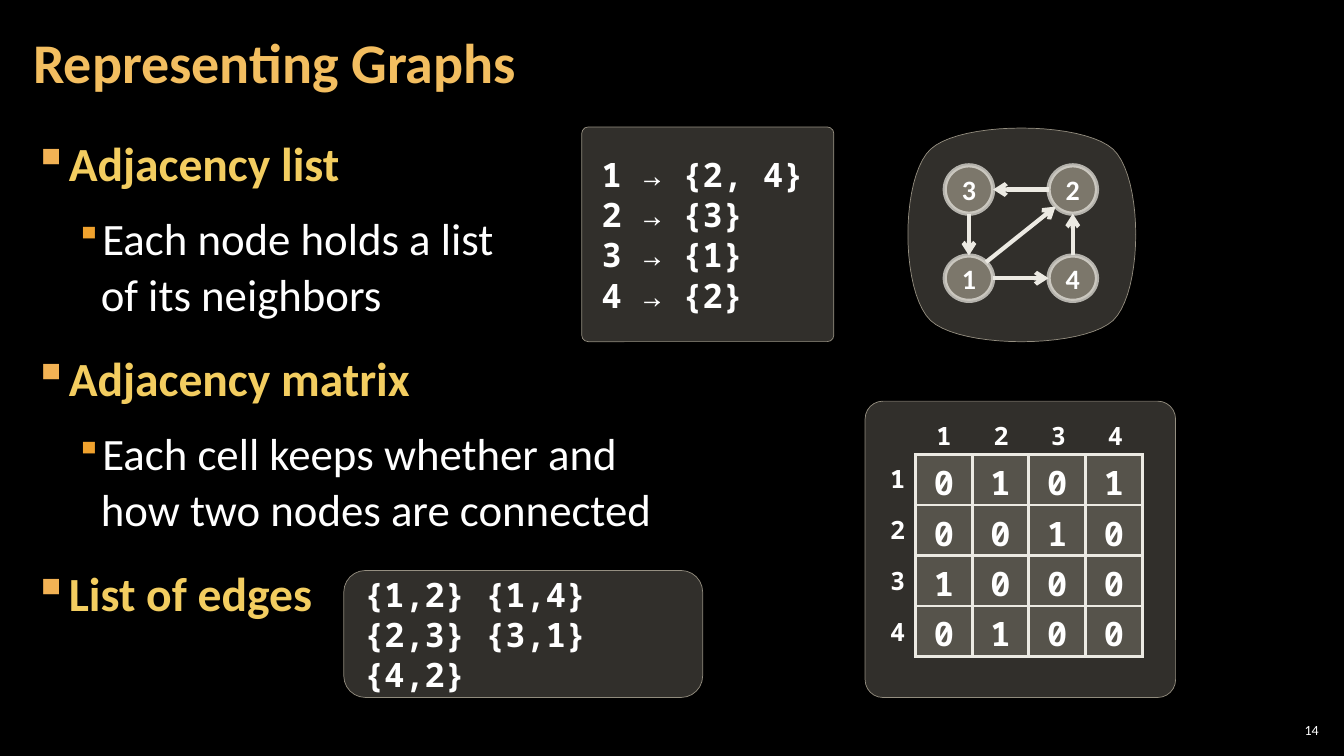
import pptx
import pptx.util
import pptx.dml.color
import pptx.enum.shapes
import pptx.enum.text
import pptx.oxml
import pptx.oxml.ns
from lxml import etree

Inches, Pt = pptx.util.Inches, pptx.util.Pt
MSO = pptx.enum.shapes.MSO_SHAPE
ALIGN = pptx.enum.text.PP_ALIGN
ANCHOR = pptx.enum.text.MSO_ANCHOR
qn = pptx.oxml.ns.qn

COLORS = {"bg": "000000", "text": "FFFFFF", "title": "F3BE60", "topic": "F3CD60",
          "bullet": "F2B254", "sub_bullet": "F0A22E", "panel": "C7BFAC", "line": "ECEAE3"}
FONTS = {
    "title": {"name": "Calibri", "size": Pt(40), "bold": True},
    "topic": {"name": "Calibri", "size": Pt(34), "bold": True},
    "detail": {"name": "Calibri", "size": Pt(32), "bold": False},
    "number": {"name": "Calibri", "size": Pt(10), "bold": False},
    "node": {"name": "Calibri", "size": Pt(20), "bold": True},
    "code": {"name": "Noto Sans Mono", "size": Pt(24), "bold": True},
    "label": {"name": "Noto Sans Mono", "size": Pt(18), "bold": True},
}
OUTLINE = [("Adjacency list", 0), ("Each node holds a list\vof its neighbors", 1),
           ("Adjacency matrix", 0), ("Each cell keeps whether and\vhow two nodes are connected", 1),
           ("List of edges", 0)]
EDGES = [(1, 2), (1, 4), (2, 3), (3, 1), (4, 2)]


def rgb(key):
    return pptx.dml.color.RGBColor.from_string(COLORS[key])


def set_opacity(parent, percent):
    clr = next(parent.iter(qn("a:srgbClr")))
    etree.SubElement(clr, qn("a:alpha")).set("val", str(percent * 1000))


def write(p, text, font, color="text", align=ALIGN.LEFT):
    p.text = text
    p.alignment = align
    for r in p.runs:
        for key, value in FONTS[font].items():
            setattr(r.font, key, value)
        r.font.color.rgb = rgb(color)


def set_frame(tf, anchor, margin_x, margin_y, wrap=True):
    values = {"word_wrap": wrap, "vertical_anchor": anchor,
              "margin_left": Inches(margin_x), "margin_right": Inches(margin_x),
              "margin_top": Inches(margin_y), "margin_bottom": Inches(margin_y)}
    for key, value in values.items():
        setattr(tf, key, value)


def add_text(s, box, anchor, margin_x, margin_y, wrap=True):
    tf = s.shapes.add_textbox(*map(Inches, box)).text_frame
    set_frame(tf, anchor, margin_x, margin_y, wrap)
    return tf


def style_panel(sp):
    sp.shadow.inherit = False
    sp.fill.solid()
    sp.fill.fore_color.rgb = rgb("panel")
    set_opacity(sp.fill._xPr.find(qn("a:solidFill")), 25)
    sp.line.color.rgb = rgb("panel")
    sp.line.width = Pt(0.5)
    set_opacity(sp.line._ln, 70)


def add_panel(s, box, radius):
    sp = s.shapes.add_shape(MSO.ROUNDED_RECTANGLE, *map(Inches, box))
    sp.adjustments[0] = radius
    style_panel(sp)
    return sp


def add_title(s, box):
    write(add_text(s, box, ANCHOR.MIDDLE, 0.12, 0.04).paragraphs[0],
          "Representing Graphs", "title", "title")
    s.shapes[-1].text_frame.paragraphs[0].line_spacing = 0.9


def add_outline(s, box):
    tf = add_text(s, box, ANCHOR.TOP, 0.12, 0.04)
    for i, (text, level) in enumerate(OUTLINE):
        p = tf.add_paragraph() if i else tf.paragraphs[0]
        pPr = p._p.get_or_add_pPr()
        pPr.set("marL", str(Inches((0.33, 0.67)[level])))
        pPr.set("indent", str(-Inches((0.33, 0.25)[level])))
        clr = etree.SubElement(pPr, qn("a:buClr"))
        etree.SubElement(clr, qn("a:srgbClr")).set(
            "val", COLORS[("bullet", "sub_bullet")[level]])
        etree.SubElement(pPr, qn("a:buSzPct")).set("val", ("100000", "80000")[level])
        etree.SubElement(pPr, qn("a:buChar")).set("char", "▪")
        spacing = {"level": level, "line_spacing": 1.05, "space_after": Pt(6),
                   "space_before": Pt(0 if i == 0 else 6 if level else 12)}
        for key, value in spacing.items():
            setattr(p, key, value)
        write(p, text, ("topic", "detail")[level], ("topic", "text")[level])


def add_code_panel(s, box, radius, margins, lines):
    tf = add_panel(s, box, radius).text_frame
    set_frame(tf, ANCHOR.MIDDLE, *margins)
    for i, line in enumerate(lines):
        p = tf.add_paragraph() if i else tf.paragraphs[0]
        p._p.get_or_add_pPr().set("marL", str(Inches(0.1)))
        write(p, line, "code")


def add_matrix(s, box):
    x, y, w, h = box
    add_panel(s, box, 0.06)
    # Cells
    left, top, size = x + 0.5, y + 0.53, 2.25
    table = s.shapes.add_table(4, 4, *map(Inches, (left, top, size, 2))).table
    table.first_row = table.horz_banding = False
    for row in range(4):
        for col in range(4):
            cell = table.cell(row, col)
            write(cell.text_frame.paragraphs[0], str(int((row + 1, col + 1) in EDGES)),
                  "code", align=ALIGN.CENTER)
            cell.fill.solid()
            cell.fill.fore_color.rgb = rgb("panel")
            tcPr = cell._tc.get_or_add_tcPr()
            set_opacity(tcPr, 25)
            for i, side in enumerate("LRTB"):
                ln = etree.Element(qn("a:ln" + side), w=str(Pt(2.25)))
                fill = etree.SubElement(ln, qn("a:solidFill"))
                etree.SubElement(fill, qn("a:srgbClr")).set("val", COLORS["line"])
                tcPr.insert(i, ln)
    # Row and column labels
    for i in range(4):
        for at in ((x + 0.15, y + 0.57 + 0.505 * i), (x + 0.61 + 0.567 * i, y + 0.14)):
            tf = add_text(s, (*at, 0.34, 0.4), ANCHOR.TOP, 0.1, 0.05, wrap=False)
            write(tf.paragraphs[0], str(i + 1), "label", align=ALIGN.CENTER)


def bezier(points, t):
    weights = ((1 - t) ** 3, 3 * t * (1 - t) ** 2, 3 * t * t * (1 - t), t ** 3)
    return tuple(sum(k * pt[axis] for k, pt in zip(weights, points)) for axis in (0, 1))


def add_graph(s, box):
    x, y, w, h = box
    shapes = s.shapes.add_group_shape().shapes
    # Rounded blob: four curves bulging out between the inner corners
    x1, x2, x3, x4 = x, x + 0.3, x + w - 0.3, x + w
    y1, y2, y3, y4 = y, y + 0.28, y + h - 0.28, y + h
    ya, yb, xa, xb = y + 0.56, y + h - 0.57, x + 0.6, x + w - 0.61
    curves = [((x2, y3), (x1, yb + 0.0 + (y3 - yb)), (x1, ya), (x2, y2)),
              ((x2, y2), (xa, y1), (xb, y1), (x3, y2)),
              ((x3, y2), (x4, ya), (x4, yb), (x3, y3)),
              ((x3, y3), (xb, y4), (xa, y4), (x2, y3))]
    curves[0] = ((x2, y3), (x1, yb), (x1, ya), (x2, y2))
    outline = [bezier(c, i / 20) for c in curves for i in range(1, 21)]
    fb = shapes.build_freeform(Inches(x2), Inches(y3))
    fb.add_line_segments([tuple(map(Inches, pt)) for pt in outline], close=True)
    style_panel(fb.convert_to_shape())
    # Nodes
    centers = {3: (x + 0.68, y + 0.68), 2: (x + 1.71, y + 0.68),
               1: (x + 0.68, y + 1.56), 4: (x + 1.71, y + 1.56)}
    radii = {n: (0.24, 0.24 if n in (2, 3) else 0.225) for n in centers}
    for n, (cx, cy) in centers.items():
        rx, ry = radii[n]
        sp = shapes.add_shape(MSO.OVAL, *map(Inches, (cx - rx, cy - ry, 2 * rx, 2 * ry)))
        style_panel(sp)
        next(sp.fill._xPr.find(qn("a:solidFill")).iter(qn("a:alpha"))).set("val", "50000")
        sp.line.color.rgb = rgb("line")
        sp.line.width = Pt(3)
        set_frame(sp.text_frame, ANCHOR.MIDDLE, 0.04, 0.05)
        write(sp.text_frame.paragraphs[0], str(n), "node", align=ALIGN.CENTER)
    # Edges run from rim to rim, straight or at 45 degrees
    for a, b in EDGES:
        step = [(q > p) - (q < p) for p, q in zip(centers[a], centers[b])]
        k = 0.707 if all(step) else 1
        start = [c + k * d * r for c, d, r in zip(centers[a], step, radii[a])]
        end = [c - k * d * r for c, d, r in zip(centers[b], step, radii[b])]
        cx = shapes.add_connector(pptx.enum.shapes.MSO_CONNECTOR.STRAIGHT,
                                  *map(Inches, start + end))
        cx.line.color.rgb = rgb("line")
        cx.line.width = Pt(3)
        etree.SubElement(cx.line._ln, qn("a:tailEnd")).set("type", "arrow")
        etree.SubElement(cx._element.spPr, qn("a:effectLst"))


def add_slide_number(s, box):
    tf = add_text(s, box, ANCHOR.MIDDLE, 0.04, 0.04)
    write(tf.paragraphs[0], "14", "number", align=ALIGN.RIGHT)


def main():
    prs = pptx.Presentation()
    prs.slide_width, prs.slide_height = Inches(13.33), Inches(7.5)
    s = prs.slides.add_slide(prs.slide_layouts[6])
    s.background.fill.solid()
    s.background.fill.fore_color.rgb = rgb("bg")
    add_title(s, (0.21, 0.04, 10.47, 1.21))
    add_outline(s, (0.21, 1.26, 12.91, 6.09))
    add_matrix(s, (8.58, 3.98, 3.08, 2.94))
    add_code_panel(s, (3.41, 5.66, 3.56, 1.26), 0.17, (0.04, 0.05),
                   ["{1,2} {1,4} {2,3} {3,1} {4,2}"])
    add_code_panel(s, (5.77, 1.26, 2.5, 2.13), 0.03, (0.08, 0.08),
                   ["1 → {2, 4}", "2 → {3}", "3 → {1}", "4 → {2}"])
    add_graph(s, (8.93, 1.2, 2.41, 2.26))
    add_slide_number(s, (12.65, 7.14, 0.47, 0.21))
    prs.save("out.pptx")


if __name__ == "__main__":
    main()
